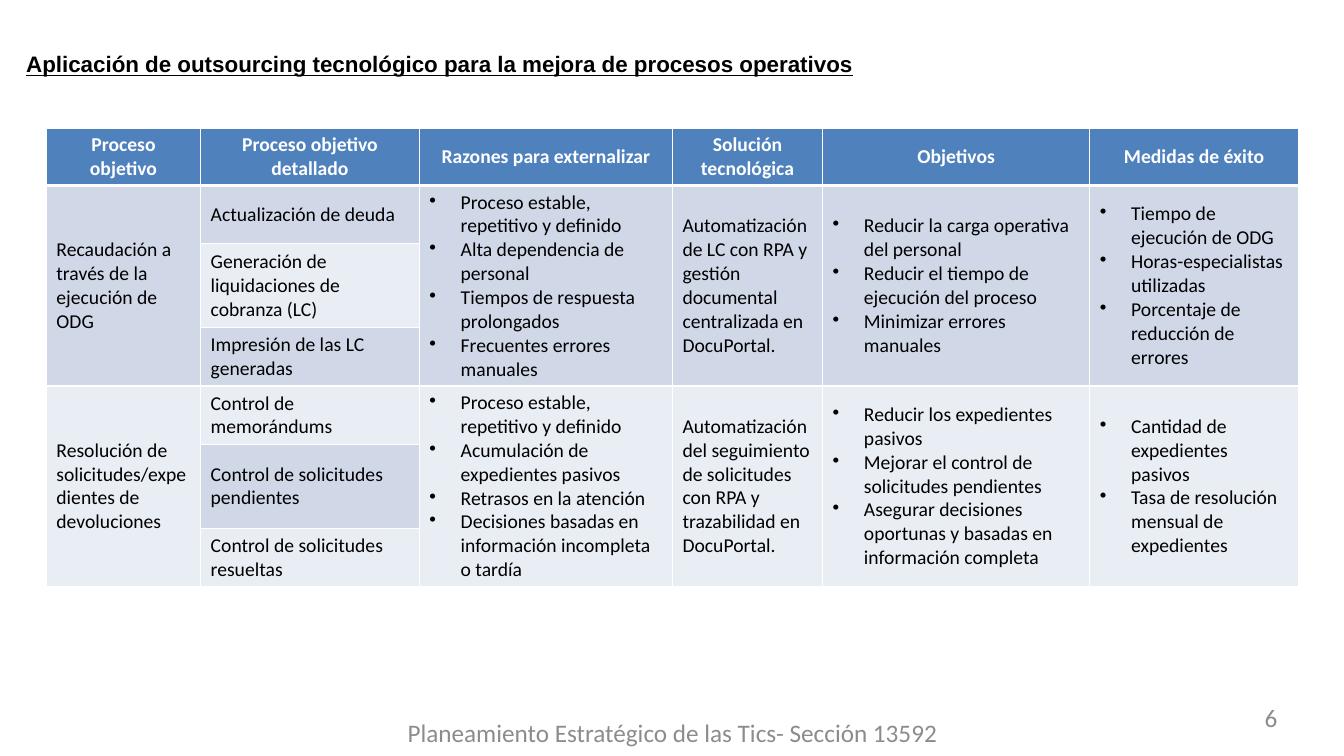
import pptx
import pptx.util
import pptx.dml.color
import pptx.enum.text
import pptx.oxml
import pptx.oxml.ns
import lxml.etree

Inches = pptx.util.Inches
Pt = pptx.util.Pt
ALIGN = pptx.enum.text.PP_ALIGN
ANCHOR = pptx.enum.text.MSO_ANCHOR

COLORS = {
    "text": "000000",
    "white": "FFFFFF",
    "muted": "8C8C8C",
    "header": "4F81BD",
    "dark band": "D0D8E8",
    "light band": "E9EDF4",
}

COLUMN_WIDTHS = [1.53, 2.17, 2.51, 1.49, 2.65, 2.07]
HEADER_HEIGHT = 0.57
STEP_HEIGHTS = [0.58, 0.83, 0.58]
HEADERS = [
    "Proceso objetivo", "Proceso objetivo detallado", "Razones para externalizar",
    "Solución tecnológica", "Objetivos", "Medidas de éxito",
]
STEP_COLUMN = 1

# Each process has one entry per column; a list in the step column is one cell
# per row, and a list in any other column is a bulleted cell.
PROCESSES = [
    [
        "Recaudación a través de la ejecución de ODG",
        ["Actualización de deuda", "Generación de liquidaciones de cobranza (LC)",
         "Impresión de las LC generadas"],
        ["Proceso estable, repetitivo y definido", "Alta dependencia de personal",
         "Tiempos de respuesta prolongados", "Frecuentes errores manuales"],
        "Automatización de LC con RPA y gestión documental centralizada en DocuPortal.",
        ["Reducir la carga operativa del personal",
         "Reducir el tiempo de ejecución del proceso", "Minimizar errores manuales"],
        ["Tiempo de ejecución de ODG", "Horas-especialistas utilizadas",
         "Porcentaje de reducción de errores"],
    ],
    [
        "Resolución de solicitudes/expedientes de devoluciones",
        ["Control de memorándums", "Control de solicitudes pendientes",
         "Control de solicitudes resueltas"],
        ["Proceso estable, repetitivo y definido", "Acumulación de expedientes pasivos",
         "Retrasos en la atención",
         "Decisiones basadas en información incompleta o tardía"],
        "Automatización del seguimiento de solicitudes con RPA y trazabilidad en DocuPortal.",
        ["Reducir los expedientes pasivos", "Mejorar el control de solicitudes pendientes",
         "Asegurar decisiones oportunas y basadas en información completa"],
        ["Cantidad de expedientes pasivos", "Tasa de resolución mensual de expedientes"],
    ],
]


def rgb(name):
    return pptx.dml.color.RGBColor.from_string(COLORS[name])


def style_paragraph(para, size, color, font="Calibri", bold=False, align=ALIGN.LEFT):
    para.alignment = align
    para.font.name = font
    para.font.size = Pt(size)
    para.font.bold = bold
    para.font.color.rgb = rgb(color)


def set_margins(frame, top=0):
    frame.margin_left = frame.margin_right = frame.margin_bottom = 0
    frame.margin_top = Inches(top)
    frame.word_wrap = True
    frame.vertical_anchor = ANCHOR.TOP


def add_title(page, text):
    title = page.shapes.title
    title.left, title.top = Inches(0.25), Inches(0.49)
    title.width, title.height = Inches(11.57), Inches(0.28)
    set_margins(title.text_frame, top=0.01)
    title.text_frame.text = text
    para = title.text_frame.paragraphs[0]
    style_paragraph(para, 16, "text", font="Arial", bold=True)
    para.font.underline = True
    para.space_before = Pt(1)
    para._p.get_or_add_pPr().set("marL", str(Inches(0.01)))


def add_footer_text(page, left, top, width, text, align):
    box = page.shapes.add_textbox(Inches(left), Inches(top), Inches(width), Inches(0.38))
    set_margins(box.text_frame)
    para = box.text_frame.paragraphs[0]
    para.text = text
    style_paragraph(para, 18, "muted", align=align)


def add_bullet(para):
    properties = para._p.get_or_add_pPr()
    properties.set("marL", str(Inches(0.31)))
    properties.set("indent", str(Inches(-0.31)))
    bullet = pptx.oxml.parse_xml(
        f'<a:buChar {pptx.oxml.ns.nsdecls("a")} char="•"/>')
    properties.insert_element_before(bullet, "a:tabLst", "a:defRPr", "a:extLst")


def set_borders(cell, bottom=1):
    properties = cell._tc.get_or_add_tcPr()
    widths = {"lnL": 1, "lnR": 1, "lnT": 1, "lnB": bottom}
    for position, (tag, width) in enumerate(widths.items()):
        line = pptx.oxml.parse_xml(
            f'<a:{tag} {pptx.oxml.ns.nsdecls("a")} w="{Pt(width)}"><a:solidFill>'
            f'<a:srgbClr val="{COLORS["white"]}"/></a:solidFill></a:{tag}>')
        properties.insert(position, line)


def fill_cell(cell, content, fill, color="text", bold=False, align=ALIGN.LEFT):
    bulleted = isinstance(content, list)
    cell.text = "\n".join(content) if bulleted else content
    cell.vertical_anchor = ANCHOR.MIDDLE
    cell.fill.solid()
    cell.fill.fore_color.rgb = rgb(fill)
    for para in cell.text_frame.paragraphs:
        style_paragraph(para, 14, color, bold=bold, align=align)
        if bulleted:
            add_bullet(para)


def add_process(table, first_row, process, band):
    last_row = first_row + len(STEP_HEIGHTS) - 1
    for column, content in enumerate(process):
        if column == STEP_COLUMN:
            for row, step in enumerate(content, first_row):
                step_band = "dark band" if row % 2 else "light band"
                fill_cell(table.cell(row, column), step, step_band)
        else:
            cell = table.cell(first_row, column)
            cell.merge(table.cell(last_row, column))
            fill_cell(cell, content, band)


def add_process_table(page):
    heights = [HEADER_HEIGHT] + STEP_HEIGHTS * len(PROCESSES)
    table = page.shapes.add_table(
        len(heights), len(COLUMN_WIDTHS), Inches(0.46), Inches(1.27),
        Inches(sum(COLUMN_WIDTHS)), Inches(sum(heights))).table
    table.horz_banding = False
    for column, width in zip(table.columns, COLUMN_WIDTHS):
        column.width = Inches(width)
    for row, height in zip(table.rows, heights):
        row.height = Inches(height)

    # Header row
    for column, text in enumerate(HEADERS):
        fill_cell(table.cell(0, column), text, "header", "white", True, ALIGN.CENTER)

    # One block of rows per process
    for index, (process, band) in enumerate(zip(PROCESSES, ["dark band", "light band"])):
        add_process(table, 1 + index * len(STEP_HEIGHTS), process, band)

    # White grid, heavier under the header
    for row in range(len(heights)):
        for column in range(len(COLUMN_WIDTHS)):
            set_borders(table.cell(row, column), bottom=1 if row else 3)


def main():
    deck = pptx.Presentation()
    deck.slide_width, deck.slide_height = Inches(13.33), Inches(7.5)
    page = deck.slides.add_slide(deck.slide_layouts.get_by_name("Title Only"))
    add_title(page, "Aplicación de outsourcing tecnológico para la mejora de procesos operativos")
    add_footer_text(page, 9.6, 6.97, 3.07, "6", ALIGN.RIGHT)
    add_footer_text(page, 3.73, 7.12, 5.88,
                    "Planeamiento Estratégico de las Tics- Sección 13592", ALIGN.CENTER)
    add_process_table(page)
    deck.save("out.pptx")


if __name__ == "__main__":
    main()
